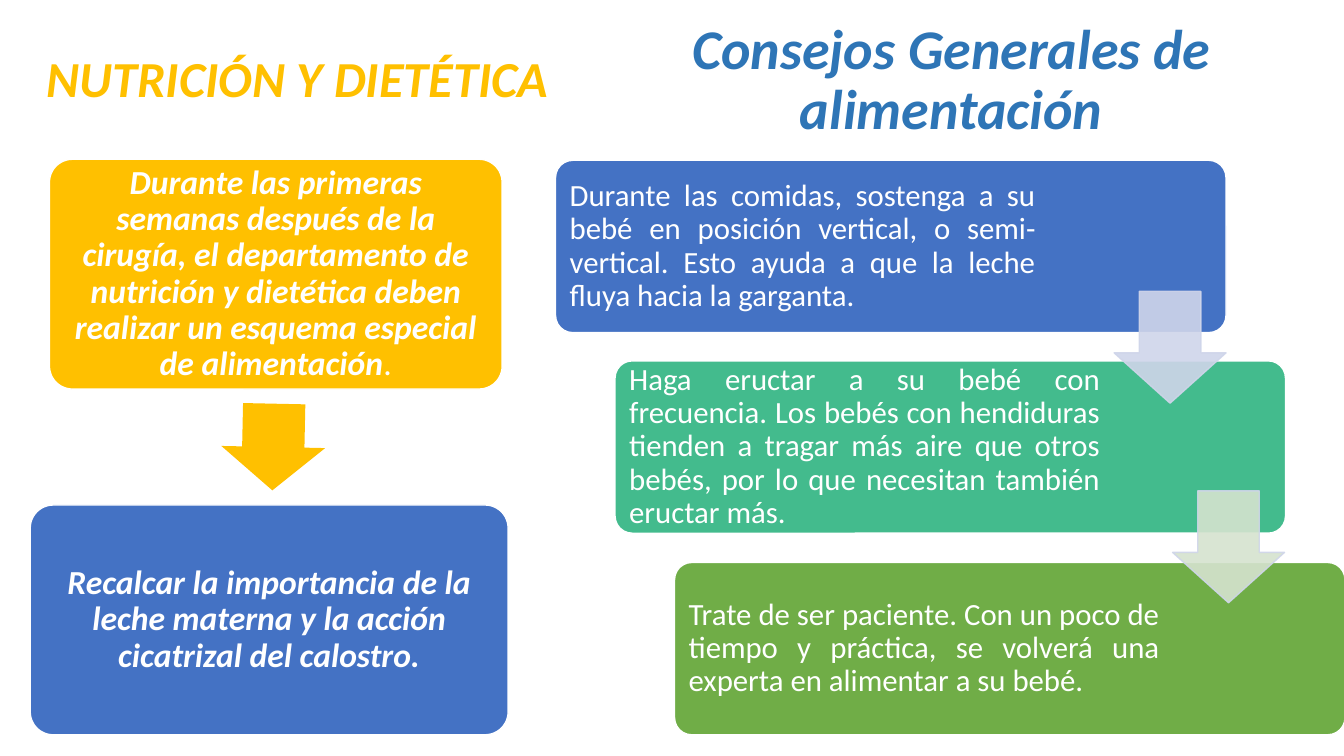
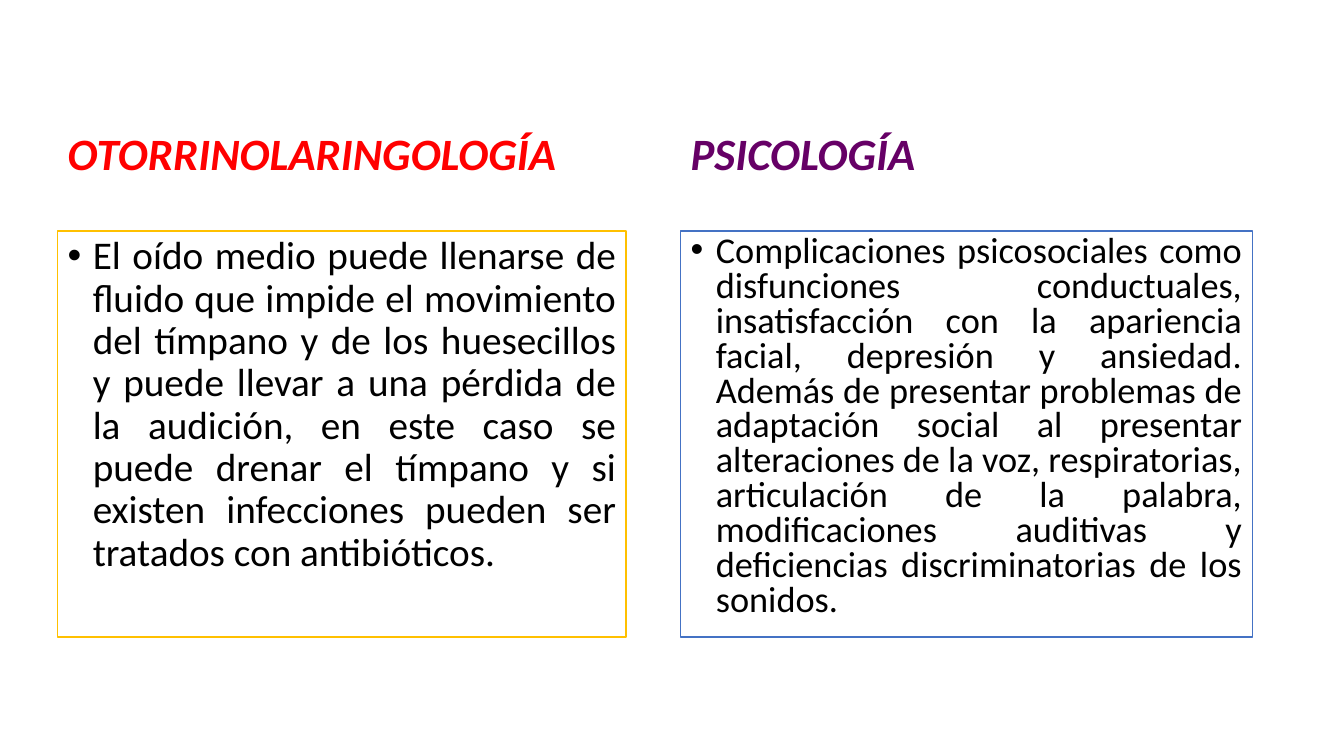
from lxml import etree
from pptx import Presentation
from pptx import util as u
from pptx.dml.color import RGBColor
from pptx.enum import shapes, text
from pptx.oxml.ns import qn

# Shared look
PX = 9144  # 100 px to the inch
FONT = "Calibri"
WHITE, BLACK = "FFFFFF", "000000"
GOLD, BLUE, TITLE_BLUE = "FFC000", "4472C4", "2E75B6"
TEAL, GREEN, RED, PURPLE = "43BB8D", "70AD47", "FF0000", "660066"
PALE_BLUE, PALE_GREEN = "CFD5EA", "D5E3CF"
COMPARISON = 4
LEFT, CENTER, JUSTIFY = (text.PP_ALIGN.LEFT, text.PP_ALIGN.CENTER,
                         text.PP_ALIGN.JUSTIFY)
TOP, MIDDLE, BOTTOM = (text.MSO_ANCHOR.TOP, text.MSO_ANCHOR.MIDDLE,
                       text.MSO_ANCHOR.BOTTOM)


def px(value):
    return u.Emu(value * PX)


def color(value):
    return RGBColor.from_string(value)


def paint(shape, fill, line=None):
    shape.fill.solid()
    shape.fill.fore_color.rgb = color(fill)
    if line:
        shape.line.color.rgb = color(line)
        shape.line.width = u.Pt(1)
    else:
        shape.line.fill.background()


def add_bullet(para):
    props = para._p.get_or_add_pPr()
    props.set("marL", str(px(25)))
    props.set("indent", str(px(-25)))
    etree.SubElement(props, qn("a:buFont"), typeface="Arial")
    etree.SubElement(props, qn("a:buChar"), char="•")


def write(shape, words, plain_end="", size=24, ink=BLACK, strong=False,
          align=LEFT, anchor=TOP, spacing=0.9, bullet=False):
    """Fill a shape with one paragraph; strong means bold italic."""
    frame = shape.text_frame
    frame.word_wrap = True
    frame.auto_size = text.MSO_AUTO_SIZE.NONE
    frame.vertical_anchor = anchor
    para = frame.paragraphs[0]
    if bullet:
        add_bullet(para)
    para.alignment = align
    para.line_spacing = spacing
    para.space_before = u.Pt(0)
    for part, emphasis in ((words, strong), (plain_end, False)):
        if part:
            span = para.add_run()
            span.text = part
            span.font.name = FONT
            span.font.size = u.Pt(size)
            span.font.color.rgb = color(ink)
            span.font.bold = span.font.italic = emphasis


def add_page(deck):
    return deck.slides.add_slide(deck.slide_layouts[COMPARISON])


def place(page, index, at):
    box = page.placeholders[index]
    box.left, box.top, box.width, box.height = map(px, at)
    return box


def heading(page, index, at, words, **style):
    write(place(page, index, at), words, strong=True, anchor=BOTTOM, **style)


def remove_empty(page):
    for box in list(page.placeholders):
        if not box.text_frame.text:
            box._element.getparent().remove(box._element)


def add_preset(page, kind, at, adjustments, fill, line=None):
    shape = page.shapes.add_shape(kind, *map(px, at))
    shape.shadow.inherit = False
    for index, value in enumerate(adjustments):
        shape.adjustments[index] = value
    paint(shape, fill, line)
    return shape


def card(page, at, fill, words, inset=10, right_inset=10, **style):
    box = add_preset(page, shapes.MSO_SHAPE.ROUNDED_RECTANGLE, at, [0.1],
                     fill, WHITE)
    frame = box.text_frame
    frame.margin_left = frame.margin_top = frame.margin_bottom = px(inset)
    frame.margin_right = px(right_inset)
    write(box, words, ink=WHITE, anchor=MIDDLE, **style)


def pale_arrow(page, left, top, fill):
    arrow = add_preset(page, shapes.MSO_SHAPE.DOWN_ARROW,
                       (left, top, 111, 111), [0.55, 0.45], fill, PALE_BLUE)
    for tone in arrow._element.spPr.iter(qn("a:srgbClr")):
        etree.SubElement(tone, qn("a:alpha"), val="90000")


def nutrition_page(deck):
    page = add_page(deck)

    # Left column: two cards joined by an arrow
    heading(page, 1, (36, 23, 567, 90), "NUTRICIÓN Y DIETÉTICA",
            size=36, ink=GOLD)
    card(page, (49, 158, 449, 228), GOLD,
         "Durante las primeras semanas después de la cirugía, el departamento "
         "de nutrición y dietética deben realizar un esquema especial de "
         "alimentación", plain_end=".", strong=True, align=CENTER)
    arrow = add_preset(page, shapes.MSO_SHAPE.RIGHT_ARROW,
                       (228, 392, 86, 103), [0.6, 0.5], GOLD)
    arrow.rotation = 91.2
    card(page, (30, 501, 474, 228), BLUE,
         "Recalcar la importancia de la leche materna y la acción cicatrizal "
         "del calostro.", strong=True, align=CENTER)

    # Right column: staircase of advice
    heading(page, 3, (551, 21, 785, 125),
            "Consejos Generales de alimentación",
            size=40, ink=TITLE_BLUE, align=CENTER)
    advice = [
        (BLUE, 184, "Durante las comidas, sostenga a su bebé en posición "
         "vertical, o semi-vertical. Esto ayuda a que la leche fluya hacia la "
         "garganta."),
        (TEAL, 179, "Haga eructar a su bebé con frecuencia. Los bebés con "
         "hendiduras tienden a tragar más aire que otros bebés, por lo que "
         "necesitan también eructar más."),
        (GREEN, 179, "Trate de ser paciente. Con un poco de tiempo y "
         "práctica, se volverá una experta en alimentar a su bebé."),
    ]
    for step, (fill, right_inset, words) in enumerate(advice):
        card(page, (551 + 59 * step, 159 + 199 * step + step // 2,
                    665, 171), fill, words, inset=9,
             right_inset=right_inset, size=22, align=JUSTIFY)
    for step, fill in enumerate((PALE_BLUE, PALE_GREEN)):
        pale_arrow(page, 1105 + 58 * step, 289 + 198 * step, fill)
    remove_empty(page)


def specialties_page(deck):
    page = add_page(deck)
    columns = [
        (57, 564, RED, GOLD, 28, 0.9, "OTORRINOLARINGOLOGÍA",
         "El oído medio puede llenarse de fluido que impide el movimiento del "
         "tímpano y de los huesecillos y puede llevar a una pérdida de la "
         "audición, en este caso se puede drenar el tímpano y si existen "
         "infecciones pueden ser tratados con antibióticos."),
        (675, 567, PURPLE, BLUE, 25.9, 0.8, "PSICOLOGÍA",
         "Complicaciones psicosociales como disfunciones conductuales, "
         "insatisfacción con la apariencia facial, depresión y ansiedad. "
         "Además de presentar problemas de adaptación social al presentar "
         "alteraciones de la voz, respiratorias, articulación de la palabra, "
         "modificaciones auditivas y deficiencias discriminatorias de los "
         "sonidos."),
    ]
    for number, column in enumerate(columns):
        left, width, ink, border, size, spacing, title, words = column
        heading(page, 1 + 2 * number, (left, 94, width, 90), title,
                size=32, ink=ink)
        body = place(page, 2 + 2 * number, (left, 229, width, 403))
        paint(body, WHITE, border)
        write(body, words, size=size, spacing=spacing, align=JUSTIFY,
              bullet=True)
    remove_empty(page)


def main():
    deck = Presentation()
    deck.slide_width, deck.slide_height = px(1333), px(750)
    nutrition_page(deck)
    specialties_page(deck)
    deck.save("out.pptx")


if __name__ == "__main__":
    main()
